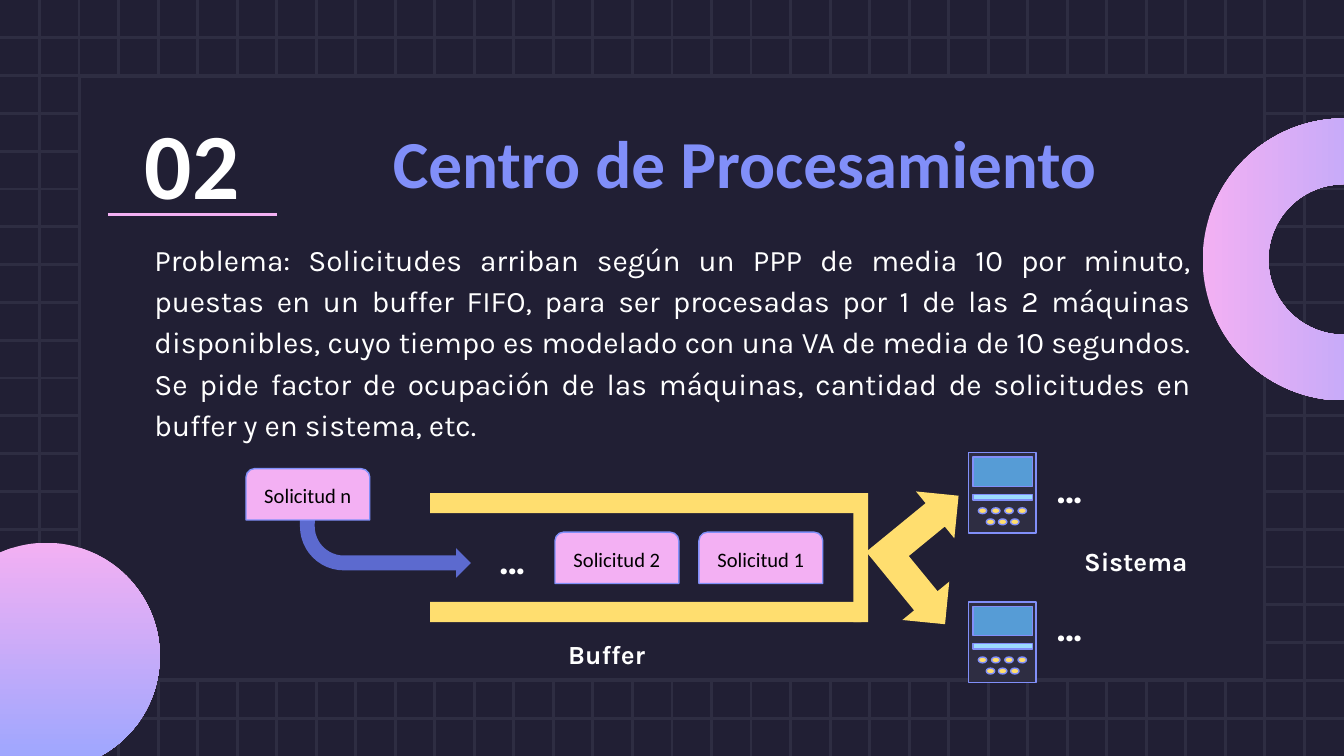
import pptx
import pptx.util
import pptx.dml.color
import pptx.enum.shapes
import pptx.enum.text
import pptx.oxml.ns
import lxml.etree

Cm = pptx.util.Cm
Pt = pptx.util.Pt
SHAPE = pptx.enum.shapes.MSO_SHAPE
ALIGN = pptx.enum.text.PP_ALIGN
ANCHOR = pptx.enum.text.MSO_ANCHOR
W, H = 25.4, 14.29
COLORS = {
    "night": "211F34", "grid": "2E2D42", "pink": "F3B0F3", "lavender": "9AA6FF",
    "violet": "818FF9", "indigo": "5C6ACF", "yellow": "FFDE6F", "screen": "569CD6",
    "bar": "9CDCFE", "white": "FFFFFF", "black": "000000",
}


def rgb(name):
    return pptx.dml.color.RGBColor.from_string(COLORS[name])


def add_line(slide, x1, y1, x2, y2, color):
    ln = slide.shapes.add_connector(
        pptx.enum.shapes.MSO_CONNECTOR.STRAIGHT, Cm(x1), Cm(y1), Cm(x2), Cm(y2))
    ln.line.color.rgb = rgb(color)
    ln.line.width = Pt(1.5)
    lxml.etree.SubElement(ln.element.spPr, pptx.oxml.ns.qn("a:effectLst"))


def add_shape(slide, kind, x, y, w, h, fill, line=None, width=0.75, adj=(), rot=0, flip=False):
    sp = slide.shapes.add_shape(kind, Cm(x), Cm(y), Cm(w), Cm(h))
    sp.shadow.inherit = False
    if isinstance(fill, tuple):
        sp.fill.gradient()
        sp.fill.gradient_angle = 270
        for stop, color in zip(sp.fill.gradient_stops, fill):
            stop.color.rgb = rgb(color)
    else:
        sp.fill.solid()
        sp.fill.fore_color.rgb = rgb(fill)
    if line:
        sp.line.color.rgb = rgb(line)
        sp.line.width = Pt(width)
    else:
        sp.line.fill.background()
    for i, value in enumerate(adj):
        sp.adjustments[i] = value
    sp.rotation = rot
    if flip:
        sp.element.spPr.xfrm.set("flipH", "1")
    return sp


def set_text(sp, text, size, font, color, bold=False, align=ALIGN.LEFT, anchor=ANCHOR.TOP):
    tf = sp.text_frame
    tf.auto_size = pptx.enum.text.MSO_AUTO_SIZE.NONE
    tf.word_wrap = True
    tf.margin_left = tf.margin_right = tf.margin_top = tf.margin_bottom = Cm(0.25)
    tf.vertical_anchor = anchor
    tf.text = text
    p = tf.paragraphs[0]
    p.alignment = align
    r = p.runs[0]
    r.font.size = Pt(size)
    r.font.name = font
    r.font.bold = bold
    r.font.color.rgb = rgb(color)
    return p


def add_text(slide, x, y, w, h, *args, **kwargs):
    sp = slide.shapes.add_textbox(Cm(x), Cm(y), Cm(w), Cm(h))
    return set_text(sp, *args, **kwargs)


def add_dots(slide, x, y):
    add_text(slide, x, y, 0.99, 1.37, "…", 20, "Karla", "white", bold=True)


def add_label(slide, x, y, w, text):
    add_text(slide, x, y, w, 1.12, text, 14, "Karla", "white", bold=True)


def backdrop(slide, x, y, w, h):
    rows, cols = 20, 34
    for i in range(1, rows):
        add_line(slide, x, y + h * i / rows, x + w, y + h * i / rows, "grid")
    for i in range(1, cols):
        add_line(slide, x + w * i / cols, y, x + w * i / cols, y + h, "grid")
    add_shape(slide, SHAPE.RECTANGLE, x + 1.5, y + 1.44, w - 3, 11.4, "night", "grid", 1.5)
    glow = ("pink", "lavender")
    add_shape(slide, SHAPE.BLOCK_ARC, x + w - 2.67, y + 2.24, 5.33, 5.33, glow,
              adj=(108, 0.361, 0.233), rot=270, flip=True)
    add_shape(slide, SHAPE.OVAL, x - 1.27, y + 10.26, 4.29, 4.29, glow)


def heading(slide, x, y, w, h):
    bold = dict(bold=True, align=ALIGN.CENTER, anchor=ANCHOR.BOTTOM)
    add_text(slide, x, y, 3.35, h, "02", 50, "Calibri", "white", **bold)
    title = slide.shapes.title
    title.left, title.top, title.width, title.height = Cm(x + 2.72), Cm(y + 0.28), Cm(w - 2.72), Cm(2.13)
    set_text(title, "Centro de Procesamiento", 36, "Calibri", "violet", **bold)
    slide.shapes.element.append(title.element)
    add_line(slide, x + 0.08, y + 2.41, x + 3.28, y + 2.41, "pink")


def problem(slide, x, y, w, h):
    p = add_text(
        slide, x, y, w, h,
        "Problema: Solicitudes arriban según un PPP de media 10 por minuto, puestas en un "
        "buffer FIFO, para ser procesadas por 1 de las 2 máquinas disponibles, cuyo tiempo es "
        "modelado con una VA de media de 10 segundos. Se pide factor de ocupación de las "
        "máquinas, cantidad de solicitudes en buffer y en sistema, etc.",
        16, "Karla", "white", align=ALIGN.JUSTIFY)
    p.line_spacing = 1.15


def request(slide, x, y, name):
    sp = add_shape(slide, SHAPE.ROUND_2_SAME_RECTANGLE, x, y, 2.34, 0.97, "pink", "violet",
                   adj=(0.167, 0))
    set_text(sp, "Solicitud " + name, 11, "Calibri", "black", align=ALIGN.CENTER,
             anchor=ANCHOR.MIDDLE)


def buffer_queue(slide, x, y, w, h):
    for top in (y, y + h - 0.38):
        add_shape(slide, SHAPE.RECTANGLE, x, top, w - 0.13, 0.38, "yellow")
    add_shape(slide, SHAPE.RECTANGLE, x + w - 0.28, y, 0.28, h, "yellow")
    for name, left in (("1", 5.08), ("2", 2.36)):
        request(slide, x + left, y + 0.74, name)
    add_dots(slide, x + 1.07, y + 0.58)
    add_label(slide, x + 2.36, y + h + 0.05, 2.1, "Buffer")


def arrival(slide, x, y):
    add_shape(slide, SHAPE.BENT_ARROW, x + 1.02, y + 0.94, 3.23, 1.12, "indigo",
              adj=(0.25, 0.25, 0.25, 0.74), rot=180, flip=True)
    request(slide, x, y, "n")


def machine(slide, x, y, w, h):
    add_shape(slide, SHAPE.RECTANGLE, x, y, w, h, "grid", "violet")
    add_shape(slide, SHAPE.RECTANGLE, x + 0.08, y + 0.08, w - 0.15, 0.56, "screen", "violet")
    add_shape(slide, SHAPE.RECTANGLE, x + 0.08, y + 0.79, w - 0.15, 0.1, "bar", "violet")
    for count, left, step, top in ((4, 0.18, 0.25, 1.04), (3, 0.33, 0.23, 1.25)):
        for i in range(count):
            add_shape(slide, SHAPE.OVAL, x + left + i * step, y + top, 0.16, 0.11,
                      "yellow", "violet")


def system(slide, x, y):
    add_shape(slide, SHAPE.LEFT_UP_ARROW, x, y + 0.84, 2.31, 2.29, "yellow", rot=140.7)
    for top, dots in ((0, 0), (2.82, 2.62)):
        machine(slide, x + 1.88, y + top, 1.27, 1.52)
        add_dots(slide, x + 3.3, y + dots)
    add_label(slide, x + 3.81, y + 1.5, 2.6, "Sistema")


prs = pptx.Presentation()
prs.slide_width, prs.slide_height = Cm(W), Cm(H)
slide = prs.slides.add_slide(prs.slide_layouts[5])
slide.background.fill.solid()
slide.background.fill.fore_color.rgb = rgb("night")
backdrop(slide, 0, 0, W, H)
heading(slide, 1.96, 1.65, 21.51, 2.72)
problem(slide, 2.67, 4.22, 20.09, 3.63)
buffer_queue(slide, 8.13, 9.32, 8.28, 2.44)
arrival(slide, 4.65, 8.86)
system(slide, 16.43, 8.56)
prs.save("out.pptx")
